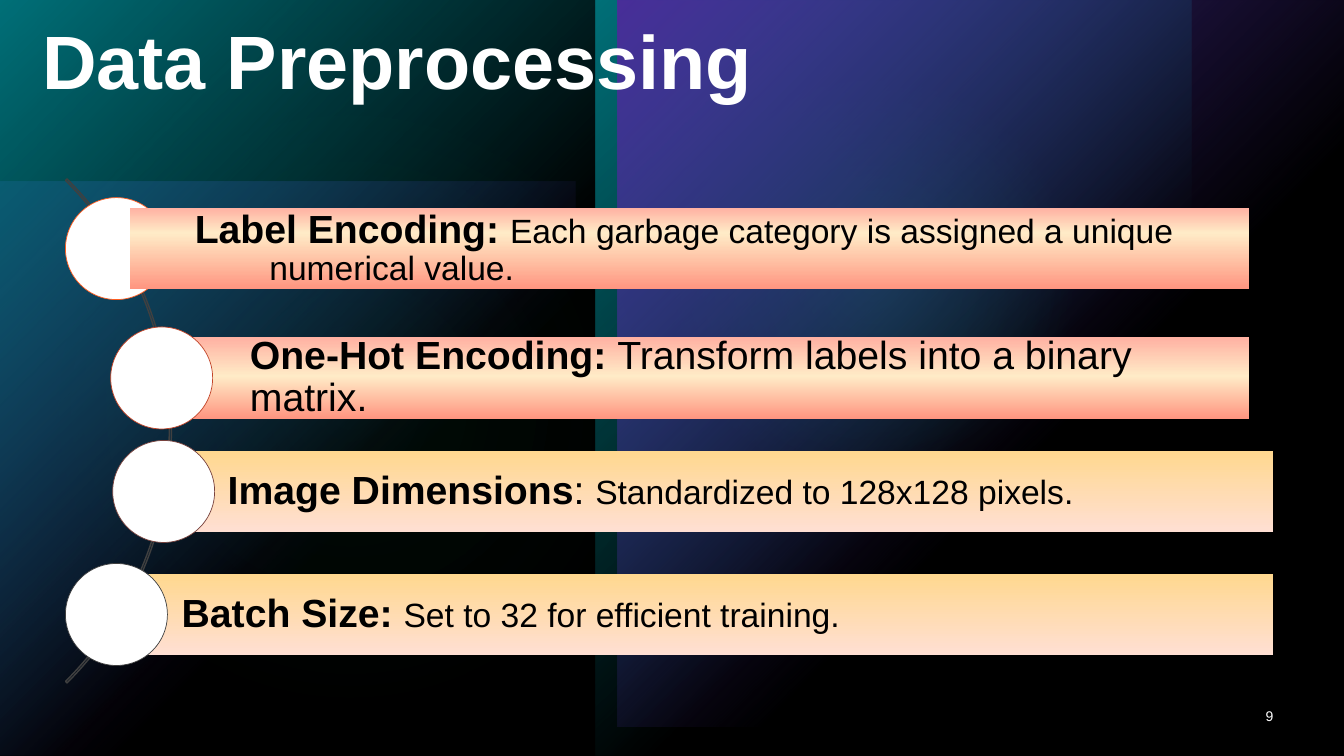
from dataclasses import dataclass

import pptx
import pptx.dml.color
import pptx.enum.shapes
import pptx.enum.text
import pptx.oxml
import pptx.oxml.ns
import pptx.util

Cm = pptx.util.Cm
Pt = pptx.util.Pt
SHAPES = pptx.enum.shapes.MSO_SHAPE
ALIGN = pptx.enum.text.PP_ALIGN
ANCHOR = pptx.enum.text.MSO_ANCHOR


@dataclass(frozen=True)
class Theme:
    font: str = "Arial"
    black: str = "000000"
    white: str = "FFFFFF"
    teal: str = "00BAC8"
    violet: str = "794DFF"
    green: str = "00D17D"
    arc: str = "404040"
    coral: tuple = ("FFB1A2", "FFEBC7", "FF9580")
    amber: tuple = ("FFD88F", "FFDFD3")
    title: int = 54
    heading: int = 28
    body: int = 24
    number: int = 10


THEME = Theme()
SLIDE_WIDTH, SLIDE_HEIGHT = 33.87, 19.05
BAR_HEIGHT, CIRCLE_SIZE = 2.06, 2.57


def rgb(code):
    return pptx.dml.color.RGBColor.from_string(code)


def add_plain(slide, kind, left, top, width, height):
    shape = slide.shapes.add_shape(kind, Cm(left), Cm(top), Cm(width), Cm(height))
    shape.shadow.inherit = False
    shape.line.fill.background()
    return shape


def fill_solid(shape, color, alpha=100):
    shape.fill.solid()
    shape.fill.fore_color.rgb = rgb(color)
    if alpha < 100:
        color_node = next(shape._element.spPr.iter(pptx.oxml.ns.qn("a:srgbClr")))
        color_node.append(pptx.oxml.parse_xml(
            f'<a:alpha {pptx.oxml.ns.nsdecls("a")} val="{alpha * 1000}"/>'))


def fill_gradient(shape, stops, angle=None):
    stop_xml = "".join(
        f'<a:gs pos="{position * 1000}"><a:srgbClr val="{color}">'
        f'<a:alpha val="{alpha * 1000}"/></a:srgbClr></a:gs>'
        for position, color, alpha in stops)
    if angle is None:
        direction = ('<a:path path="circle"><a:fillToRect l="50000" t="50000" '
                     'r="50000" b="50000"/></a:path>')
    else:
        direction = f'<a:lin ang="{angle * 60000}" scaled="0"/>'
    shape.fill.background()
    properties = shape._element.spPr
    empty_fill = properties.find(pptx.oxml.ns.qn("a:noFill"))
    properties.replace(empty_fill, pptx.oxml.parse_xml(
        f'<a:gradFill {pptx.oxml.ns.nsdecls("a")} rotWithShape="1">'
        f'<a:gsLst>{stop_xml}</a:gsLst>{direction}</a:gradFill>'))


def add_panel(slide, left, top, width, height, color, alpha=100):
    panel = add_plain(slide, SHAPES.RECTANGLE, left, top, width, height)
    fill_gradient(panel, [(0, color, alpha), (60, color, 0), (100, color, 0)], 45)


def add_glow(slide, left, top, size, alpha):
    glow = add_plain(slide, SHAPES.OVAL, left, top, size, size)
    fill_gradient(glow, [(0, THEME.green, alpha), (60, THEME.green, 0),
                         (100, THEME.green, 0)])


def add_run(paragraph, text, size, color, bold=False):
    run = paragraph.add_run()
    run.text = text
    run.font.name = THEME.font
    run.font.size = Pt(size)
    run.font.bold = bold
    run.font.color.rgb = rgb(color)


def add_label(slide, left, top, width, height, text, size, bold=False,
              align=ALIGN.LEFT):
    frame = slide.shapes.add_textbox(
        Cm(left), Cm(top), Cm(width), Cm(height)).text_frame
    frame.word_wrap = True
    frame.vertical_anchor = ANCHOR.MIDDLE
    paragraph = frame.paragraphs[0]
    paragraph.alignment = align
    paragraph.line_spacing = 0.9
    add_run(paragraph, text, size, THEME.white, bold)


def add_bar(slide, left, top, right, stops, runs, hanging):
    bar = add_plain(slide, SHAPES.RECTANGLE, left, top, right - left, BAR_HEIGHT)
    fill_gradient(bar, stops, 90)
    frame = bar.text_frame
    frame.word_wrap = True
    frame.vertical_anchor = ANCHOR.MIDDLE
    frame.margin_left = Cm(1.63)
    frame.margin_top = frame.margin_right = frame.margin_bottom = Cm(0.2)
    paragraph = frame.paragraphs[0]
    paragraph.alignment = ALIGN.LEFT
    paragraph.line_spacing = 0.9
    if hanging:
        properties = paragraph._p.get_or_add_pPr()
        properties.set("marL", str(Cm(hanging)))
        properties.set("indent", str(-Cm(hanging)))
    for text, size, bold in runs:
        add_run(paragraph, text, size, THEME.black, bold)


def add_circle(slide, left, top, outline):
    circle = add_plain(slide, SHAPES.OVAL, left, top, CIRCLE_SIZE, CIRCLE_SIZE)
    fill_solid(circle, THEME.white)
    circle.line.color.rgb = rgb(outline)
    circle.line.width = Pt(0.5)


def add_backdrop(slide):
    slide.background.fill.solid()
    slide.background.fill.fore_color.rgb = rgb(THEME.black)
    add_panel(slide, 0, 4.57, 14.5, 14.48, THEME.violet, 60)
    add_glow(slide, 15.98, 1.09, 11.99, 35)
    add_glow(slide, 0, 1.42, 17.63, 10)
    for left in (0, 15.01):
        add_panel(slide, left, 0, 15.01, SLIDE_HEIGHT, THEME.teal)
    add_panel(slide, 15.57, 0, 18.3, 18.3, THEME.violet)
    veil = add_plain(slide, SHAPES.RECTANGLE, 0, 0, SLIDE_WIDTH, SLIDE_HEIGHT)
    fill_solid(veil, THEME.black, 40)


def add_arc(slide):
    arc = add_plain(slide, SHAPES.BLOCK_ARC, -13.64, 1.88, 17.96, 17.96)
    for index, value in enumerate((189, 27, 0.003)):
        arc.adjustments[index] = value
    arc.fill.background()
    arc.line.color.rgb = rgb(THEME.arc)
    arc.line.width = Pt(1)


def add_step(slide, circle_at, outline, bar_left, bar_right, stops, runs,
             circle_behind=False, hanging=0):
    circle_left, circle_top = circle_at
    bar_top = circle_top + (CIRCLE_SIZE - BAR_HEIGHT) / 2
    if circle_behind:
        add_circle(slide, circle_left, circle_top, outline)
    add_bar(slide, bar_left, bar_top, bar_right, stops, runs, hanging)
    if not circle_behind:
        add_circle(slide, circle_left, circle_top, outline)


def main():
    deck = pptx.Presentation()
    deck.slide_width, deck.slide_height = Cm(SLIDE_WIDTH), Cm(SLIDE_HEIGHT)
    slide = deck.slides.add_slide(deck.slide_layouts[6])
    add_backdrop(slide)
    add_label(slide, 0.81, 0.51, 20.83, 2.26, "Data Preprocessing", THEME.title, True)
    add_label(slide, 30.23, 17.55, 2.11, 1.02, "9", THEME.number, align=ALIGN.RIGHT)
    add_arc(slide)

    label_stops, one_hot_stops = (
        [(position, color, 100) for position, color in zip((0, middle, 100), THEME.coral)]
        for middle in (31, 48))
    amber_stops = [(position, color, 100)
                   for position, color in zip((0, 100), THEME.amber)]
    heading, body = THEME.heading, THEME.body

    add_step(slide, (1.65, 4.98), "FE5D21", 3.28, 31.49, label_stops,
             [("Label Encoding: ", heading, True),
              ("Each garbage category is assigned a unique numerical value.", body, False)],
             circle_behind=True, hanging=1.88)
    add_step(slide, (2.79, 8.24), "C24428", 4.67, 31.49, one_hot_stops,
             [("One-Hot Encoding: ", heading, True),
              ("Transform labels into a binary matrix.", heading, False)])
    add_step(slide, (2.84, 11.1), "78423D", 4.11, 32.08, amber_stops,
             [("Image Dimensions", heading, True), (": ", heading, False),
              ("Standardized to 128x128 pixels.", body, False)])
    add_step(slide, (1.65, 14.2), THEME.arc, 2.95, 32.08, amber_stops,
             [("Batch Size: ", heading, True),
              ("Set to 32 for efficient training.", body, False)])
    deck.save("out.pptx")


if __name__ == "__main__":
    main()
